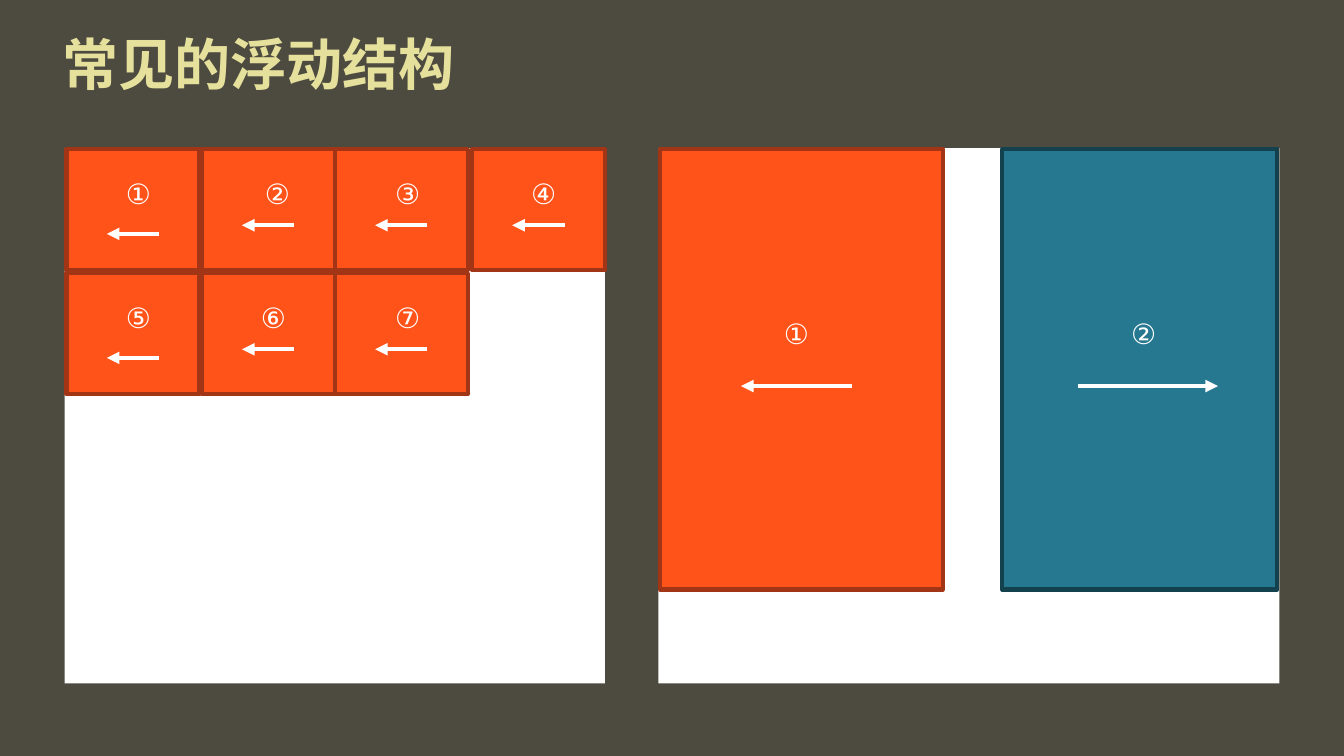
"""Build a slide that compares two common CSS float structures."""
from dataclasses import dataclass

from lxml.etree import SubElement
from pptx import Presentation
from pptx.dml.color import RGBColor
from pptx.enum.shapes import MSO_CONNECTOR as CONN, MSO_SHAPE as SHAPE
from pptx.enum.text import MSO_ANCHOR as ANCHOR, MSO_AUTO_SIZE as FIT, PP_ALIGN as ALIGN
from pptx.oxml.ns import qn
from pptx.shapes.shapetree import GroupShapes
from pptx.text.text import _Run as Run
from pptx.util import Inches, Pt

BACKGROUND = RGBColor(0x4D, 0x4A, 0x40)
CREAM = RGBColor(0xE5, 0xE0, 0x9C)
WHITE = RGBColor(0xFF, 0xFF, 0xFF)
ORANGE = RGBColor(0xFF, 0x53, 0x19)
RUST = RGBColor(0xA1, 0x35, 0x15)
TEAL = RGBColor(0x26, 0x78, 0x90)
DARK_TEAL = RGBColor(0x14, 0x41, 0x4E)

FONT = "Noto Sans Mono"
TITLE_FONT = {"name": FONT, "size": Pt(40), "bold": True}
LABEL_FONT = {"name": FONT, "size": Pt(20)}


@dataclass(frozen=True)
class Box:
    left: float
    top: float
    width: float
    height: float


@dataclass(frozen=True)
class FloatBlock:
    box: Box
    number: str
    label: Box
    arrow: tuple[float, float, float]
    fill: RGBColor = ORANGE
    line: RGBColor = RUST
    wrap: bool = False


def lengths(box: Box) -> tuple[int, ...]:
    """Convert a box to slide lengths."""
    return tuple(Inches(v) for v in (box.left, box.top, box.width, box.height))


def format_run(r: Run, values: dict, color: RGBColor) -> None:
    """Apply font values, colour and the East Asian typeface."""
    for name, value in values.items():
        setattr(r.font, name, value)
    r.font.color.rgb = color
    SubElement(r.font._element, qn("a:ea"), typeface=FONT)


def add_rect(shapes: GroupShapes, box: Box, fill: RGBColor, line: RGBColor | None = None) -> None:
    """Draw a flat rectangle with an optional border."""
    sp = shapes.add_shape(SHAPE.RECTANGLE, *lengths(box))
    sp.shadow.inherit = False
    sp.fill.solid()
    sp.fill.fore_color.rgb = fill
    if line is None:
        sp.line.fill.background()
    else:
        sp.line.color.rgb = line
        sp.line.width = Pt(3)


def add_arrow(shapes: GroupShapes, start: float, end: float, y: float) -> None:
    """Draw a horizontal arrow in the float direction."""
    sp = shapes.add_connector(CONN.STRAIGHT, Inches(start), Inches(y), Inches(end), Inches(y))
    sp.line.color.rgb = WHITE
    sp.line.width = Pt(3)
    SubElement(sp.line._get_or_add_ln(), qn("a:tailEnd"), type="triangle")
    SubElement(sp._element.spPr, qn("a:effectLst"))


def add_label(shapes: GroupShapes, block: FloatBlock) -> None:
    """Write the number of a block."""
    tf = shapes.add_textbox(*lengths(block.label)).text_frame
    tf.word_wrap = block.wrap
    tf.auto_size = FIT.SHAPE_TO_FIT_TEXT
    p = tf.paragraphs[0]
    p.alignment = ALIGN.CENTER
    r = p.add_run()
    r.text = block.number
    format_run(r, LABEL_FONT, WHITE)


def grid_blocks() -> list[FloatBlock]:
    """Lay out the seven left-floating blocks in rows of four."""
    columns = (0.66, 2.0, 3.32, 4.68)
    label_lefts = (1.15, 2.49, 3.82, 5.17)
    blocks = []
    for i, number in enumerate("①②③④⑤⑥⑦"):
        row, col = divmod(i, len(columns))
        left, top = columns[col], 1.48 + 1.23 * row
        label_left = 2.53 if number == "②" else label_lefts[col]
        arrow_y = top + (0.84 if col == 0 else 0.755)
        blocks.append(FloatBlock(
            Box(left, top, 1.32, 1.2), number,
            Box(label_left, top + 0.22, 0.33, 0.31),
            (left + 0.92, left + 0.4, arrow_y)))
    return blocks


SIDE_BLOCKS = [
    FloatBlock(Box(6.55, 1.48, 2.8, 4.37), "①", Box(7.6, 3.09, 0.6, 0.44),
               (8.45, 7.35, 3.83), wrap=True),
    FloatBlock(Box(9.94, 1.48, 2.73, 4.37), "②", Box(11.12, 3.09, 0.38, 0.44),
               (10.69, 12.08, 3.83), TEAL, DARK_TEAL),
]


def main() -> None:
    """Create and save the slide."""
    prs = Presentation()
    prs.slide_width, prs.slide_height = Inches(13.33), Inches(7.5)
    s = prs.slides.add_slide(prs.slide_layouts[5])
    s.background.fill.solid()
    s.background.fill.fore_color.rgb = BACKGROUND

    title = s.shapes.title
    title.left, title.top, title.width, title.height = lengths(Box(0.52, 0.26, 12.81, 0.82))
    tf = title.text_frame
    tf.vertical_anchor = ANCHOR.MIDDLE
    tf.auto_size = FIT.NONE
    p = tf.paragraphs[0]
    p.alignment = ALIGN.LEFT
    p.line_spacing = 0.9
    r = p.add_run()
    r.text = "常见的浮动结构"
    format_run(r, TITLE_FONT, CREAM)

    panels = (
        (Box(0.64, 1.47, 5.36, 5.31), grid_blocks()),
        (Box(6.53, 1.47, 6.16, 5.31), SIDE_BLOCKS),
    )
    for panel, blocks in panels:
        shapes = s.shapes.add_group_shape().shapes
        add_rect(shapes, panel, WHITE)
        for block in blocks:
            add_rect(shapes, block.box, block.fill, block.line)
            add_arrow(shapes, *block.arrow)
            add_label(shapes, block)

    prs.save("out.pptx")


if __name__ == "__main__":
    main()
